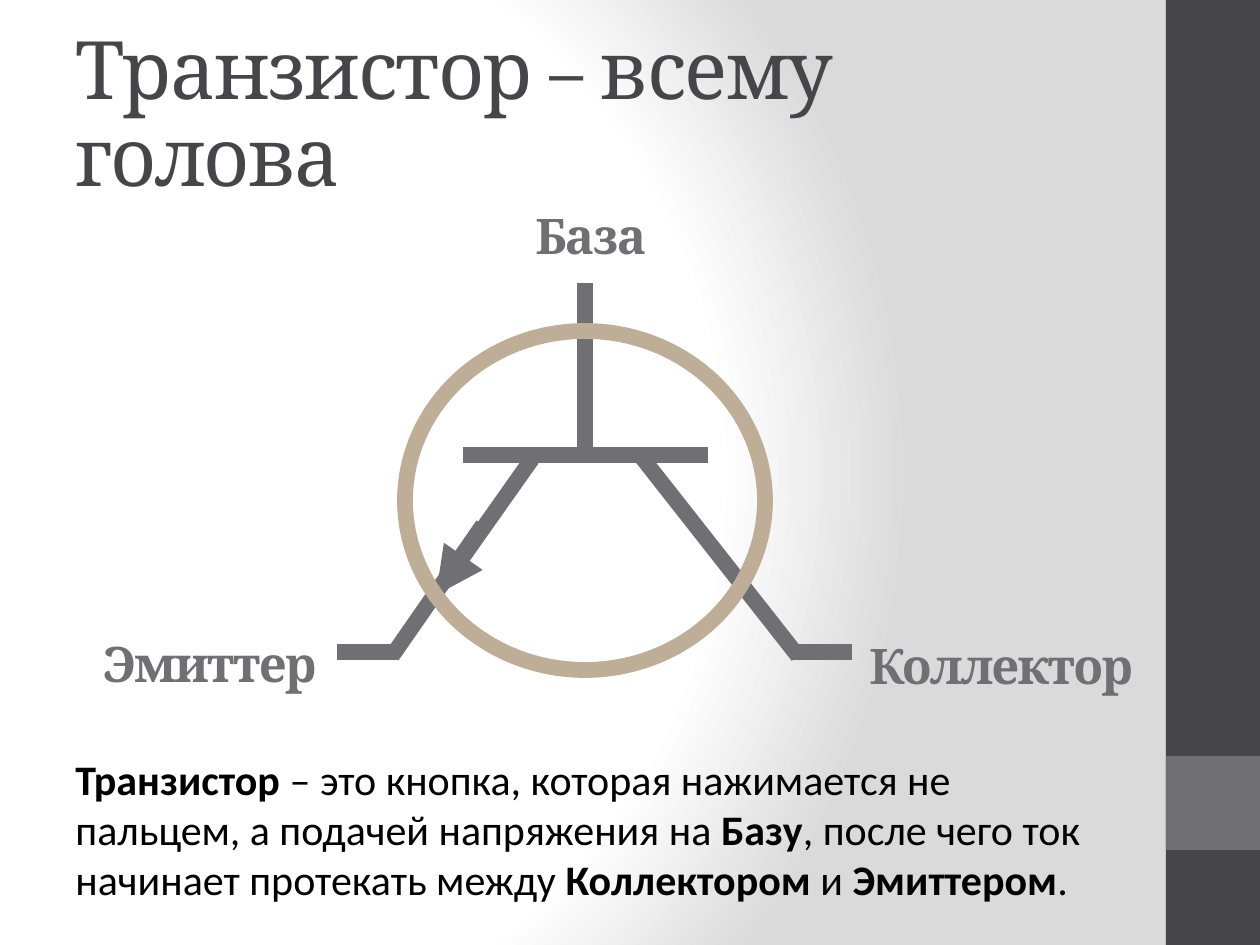
from lxml.etree import SubElement
from pptx import Presentation
from pptx.dml.color import RGBColor
from pptx.enum.shapes import MSO_CONNECTOR, MSO_SHAPE
from pptx.enum.text import MSO_ANCHOR, PP_ALIGN
from pptx.oxml.ns import qn
from pptx.util import Pt

DARK = RGBColor(0x46, 0x46, 0x4A)
GREY = RGBColor(0x6F, 0x6F, 0x74)
SAND = RGBColor(0xBE, 0xAE, 0x98)
BLACK = RGBColor(0, 0, 0)
WHITE = RGBColor(0xFF, 0xFF, 0xFF)
SILVER = RGBColor(0xDA, 0xDA, 0xDA)

SCALE = 914400 / 126  # EMU in one px
WIDE, HIGH = 1260, 945
STROKE = 9  # pt

# Content: boxes are left, top, width, height; wires are x1, y1, x2, y2
STOPS = [(0, WHITE), (75, WHITE), (100, SILVER)]
CENTRE = {"l": 20, "t": 50, "r": 100, "b": 50}
BARS = [((1166, 0, 94, HIGH), DARK), ((1166, 756, 94, 94), GREY)]
TITLE = "Транзистор – всему голова"
LABELS = [
    ("База", (517, 205, 147, 67), PP_ALIGN.CENTER),
    ("Эмиттер", (84, 633, 245, 67), PP_ALIGN.RIGHT),
    ("Коллектор", (857, 635, 316, 67), PP_ALIGN.LEFT),
]
NOTE = [
    ("Транзистор", True),
    (" – это кнопка, которая нажимается не пальцем, а подачей напряжения на ", False),
    ("Базу", True),
    (", после чего ток начинает протекать между ", False),
    ("Коллектором", True),
    (" и ", False),
    ("Эмиттером", True),
    (".", False),
]
ARROW = (532, 459, 436, 595)
WIRES = [
    (337, 652, 398, 652),  # emitter lead
    (483, 525, 392, 656),  # emitter leg
    ARROW,
    (640, 455, 798, 656),  # collector leg
    (585, 283, 585, 455),  # base lead
    (463, 455, 708, 455),  # base plate
    (791, 652, 852, 652),  # collector lead
]
RING = (405, 331, 360, 339)


def px(*nums):
    return [round(n * SCALE) for n in nums]


def add_text(slide, runs, box, size, font, color, align=PP_ALIGN.LEFT,
             anchor=MSO_ANCHOR.MIDDLE, track=0, leading=None):
    frame = slide.shapes.add_textbox(*px(*box)).text_frame
    frame.word_wrap = True
    frame.vertical_anchor = anchor
    para = frame.paragraphs[0]
    para.alignment = align
    para.line_spacing = leading
    for text, bold in runs:
        run = para.add_run()
        run.text = text
        run.font.size = Pt(size)
        run.font.name = font
        run.font.bold = bold
        run.font.color.rgb = color
        if track:
            run.font._element.set("spc", str(track * 100))


def add_shape(slide, kind, box, fill=None, line=None):
    shape = slide.shapes.add_shape(kind, *px(*box))
    shape.shadow.inherit = False
    if fill is None:
        shape.fill.background()
    else:
        shape.fill.solid()
        shape.fill.fore_color.rgb = fill
    if line is None:
        shape.line.fill.background()
    else:
        shape.line.color.rgb = line
        shape.line.width = Pt(STROKE)


def add_wire(slide, ends, arrow=False):
    wire = slide.shapes.add_connector(MSO_CONNECTOR.STRAIGHT, *px(*ends))
    wire.line.color.rgb = GREY
    wire.line.width = Pt(STROKE)
    props = wire._element.spPr
    if arrow:
        SubElement(props.find(qn("a:ln")), qn("a:tailEnd"), type="triangle")
    SubElement(props, qn("a:effectLst"))


def paint_back(slide):
    slide.background.fill.gradient()
    grad = slide._element.find(".//" + qn("a:gradFill"))
    for child in list(grad):
        grad.remove(child)
    stops = SubElement(grad, qn("a:gsLst"))
    for pos, color in STOPS:
        stop = SubElement(stops, qn("a:gs"), pos=str(pos * 1000))
        SubElement(stop, qn("a:srgbClr"), val=str(color))
    shade = SubElement(grad, qn("a:path"), path="circle")
    rect = {side: str(n * 1000) for side, n in CENTRE.items()}
    SubElement(shade, qn("a:fillToRect"), **rect)


def main():
    deck = Presentation()
    deck.slide_width, deck.slide_height = px(WIDE, HIGH)
    slide = deck.slides.add_slide(deck.slide_layouts[6])

    # Background and side bars
    paint_back(slide)
    for box, color in BARS:
        add_shape(slide, MSO_SHAPE.RECTANGLE, box, fill=color)

    # Title
    add_text(slide, [(TITLE, False)], (63, 38, 1050, 157), 46, "Cambria", DARK,
             track=-1, leading=0.9)

    # Transistor symbol
    for ends in WIRES:
        add_wire(slide, ends, arrow=ends == ARROW)
    add_shape(slide, MSO_SHAPE.OVAL, RING, line=SAND)
    for text, box, align in LABELS:
        add_text(slide, [(text, True)], box, 28, "Cambria", GREY,
                 align=align, track=-1, leading=0.9)

    # Explanation
    add_text(slide, NOTE, (63, 747, 1050, 165), 24, "Calibri", BLACK,
             anchor=MSO_ANCHOR.TOP)

    deck.save("out.pptx")


if __name__ == "__main__":
    main()
